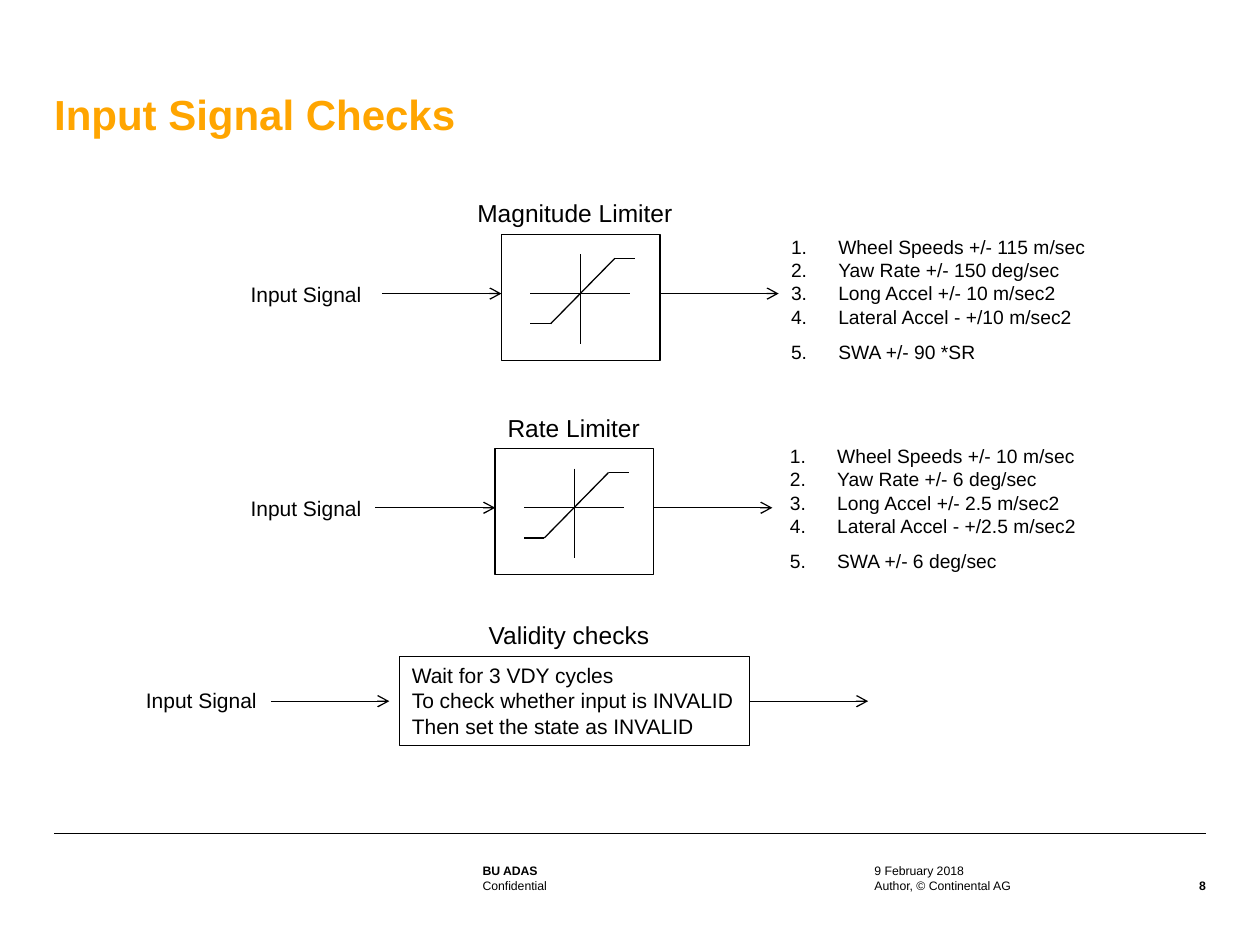
"""Build the slide on input signal checks."""
from dataclasses import dataclass

from lxml import etree
from pptx import Presentation
from pptx.dml.color import RGBColor
from pptx.enum.shapes import MSO_CONNECTOR, MSO_SHAPE
from pptx.enum.text import MSO_ANCHOR, PP_ALIGN
from pptx.oxml.ns import qn
from pptx.util import Emu, Inches, Pt

LINE = MSO_CONNECTOR.STRAIGHT
RECT = MSO_SHAPE.RECTANGLE
TOP, LOW = MSO_ANCHOR.TOP, MSO_ANCHOR.BOTTOM
LEFT, RIGHT = PP_ALIGN.LEFT, PP_ALIGN.RIGHT
WIDE, HIGH = Inches(10), Inches(7.5)
COLS, ROWS = 100, 75
EAST = 3


@dataclass(frozen=True)
class Theme:
    """Hold the colours, type sizes and line widths."""
    font: str = "Arial"
    ink: RGBColor = RGBColor(0, 0, 0)
    gold: RGBColor = RGBColor(255, 165, 0)
    title: int = 24
    head: int = 14
    body: int = 12
    item: int = 11
    last: int = 18
    foot: int = 7
    thin: float = 0.35
    rule: float = 0.75


@dataclass(frozen=True)
class Box:
    """Hold a place in grid columns and rows."""
    x: float
    y: float
    w: float
    h: float

    def spot(self, dx, dy):
        """Return the grid point at an offset from the corner."""
        return self.x + dx, self.y + dy


THEME = Theme()


def across(cols):
    """Turn grid columns into a length."""
    return Emu(round(WIDE * cols / COLS))


def down(rows):
    """Turn grid rows into a length."""
    return Emu(round(HIGH * rows / ROWS))


def frame(box):
    """Return the four lengths of a grid box."""
    return across(box.x), down(box.y), across(box.w), down(box.h)


def add_run(para, text, size, bold=False, ink=THEME.ink):
    """Add one styled run to a paragraph."""
    run = para.add_run()
    run.text = text
    run.font.name = THEME.font
    run.font.size = Pt(size)
    run.font.bold = bold
    run.font.color.rgb = ink


def fill_text(body, lines, size, **style):
    """Write one left-aligned paragraph for each line."""
    for i, line in enumerate(lines):
        para = body.add_paragraph() if i else body.paragraphs[0]
        para.alignment = LEFT
        add_run(para, line, size, **style)


def add_text(slide, box, lines, size, **style):
    """Add a label with the usual insets."""
    body = slide.shapes.add_textbox(*frame(box)).text_frame
    body.word_wrap = False
    fill_text(body, lines, size, **style)
    return body


def add_flush(slide, box, line, size, anchor=TOP, **style):
    """Add a wrapped line of text without insets."""
    body = add_text(slide, box, [line], size, **style)
    body.word_wrap = True
    body.vertical_anchor = anchor
    body.margin_left = body.margin_right = 0
    body.margin_top = body.margin_bottom = 0
    return body.paragraphs[0]


def add_line(slide, start, end, width=THEME.rule, arrow=False):
    """Draw a line between two grid points."""
    line = slide.shapes.add_connector(
        LINE, across(start[0]), down(start[1]), across(end[0]), down(end[1]))
    line.line.color.rgb = THEME.ink
    line.line.width = Pt(width)
    if arrow:
        tail = etree.SubElement(line.line._get_or_add_ln(), qn("a:tailEnd"))
        tail.set("type", "arrow")
    etree.SubElement(line._element.spPr, qn("a:effectLst"))
    return line


def add_block(slide, box):
    """Draw an empty outlined block."""
    block = slide.shapes.add_shape(RECT, *frame(box))
    block.shadow.inherit = False
    block.fill.background()
    block.line.color.rgb = THEME.ink
    block.line.width = Pt(THEME.rule)
    return block


def add_list(slide, box, items):
    """Add a numbered list with a taller last line."""
    body = add_text(slide, box, items, THEME.item)
    for para in body.paragraphs:
        props = para._p.get_or_add_pPr()
        props.set("marL", str(across(3.75)))
        props.set("indent", str(-across(3.75)))
        mark = etree.SubElement(props, qn("a:buAutoNum"))
        mark.set("type", "arabicPeriod")
    add_run(body.paragraphs[-1], " ", THEME.last)


def add_input(slide, x, y):
    """Add the input label at a grid point."""
    add_text(slide, Box(x, y, 10.9, 3), ["Input Signal"], THEME.body)


def add_limiter(slide, box, name, label, notes, items):
    """Draw a limiter block with its input, curve and limits."""
    mid = 0.47 * box.h
    add_block(slide, box)
    for start, end in ((-9.5, 0), (box.w, box.w + 9.4)):
        add_line(slide, box.spot(start, mid), box.spot(end, mid), arrow=True)
    add_line(slide, box.spot(box.w / 2, 1.6), box.spot(box.w / 2, 8.7))
    add_line(slide, box.spot(2.3, mid), box.spot(10.2, mid))
    curve = [(2.3, 7.1), (3.9, 7.1), (9, 1.9), (10.6, 1.9)]
    for start, end in zip(curve, curve[1:]):
        add_line(slide, box.spot(*start), box.spot(*end))
    add_text(slide, label, [name], THEME.head)
    add_input(slide, 18.9, box.y + 3.25)
    add_list(slide, notes, items)


def add_check(slide, box):
    """Draw the validity block with its arrows."""
    mid = box.h / 2
    block = add_block(slide, box)
    block.text_frame.word_wrap = False
    block.text_frame.vertical_anchor = TOP
    fill_text(block.text_frame, [
        "Wait for 3 VDY cycles",
        "To check whether input is INVALID",
        "Then set the state as INVALID"], THEME.body)
    add_line(slide, box.spot(-10.2, mid), box.spot(-0.8, mid), arrow=True)
    leave = add_line(slide, box.spot(box.w, mid),
                     box.spot(box.w + 9.4, mid), arrow=True)
    leave.begin_connect(block, EAST)
    add_text(slide, Box(37.8, 48.7, 14.8, 3.4), ["Validity checks"], THEME.head)
    add_input(slide, 10.6, 54.1)


def add_foot(slide, box):
    """Draw the footer rule and its small print."""
    add_line(slide, box.spot(0, 0), box.spot(box.w, 0), THEME.thin)
    upper, lower = box.y + 2.1, box.y + 3.6
    left, right = box.x + 34, box.x + 65.1
    add_flush(slide, Box(left, upper, 29.8, 1.5), "BU ADAS", THEME.foot,
              LOW, bold=True)
    add_flush(slide, Box(left, lower, 29.8, 1.4), "Confidential", THEME.foot)
    add_flush(slide, Box(right, upper, 21.9, 1.5), "9 February 2018",
              THEME.foot, LOW)
    add_flush(slide, Box(right, lower, 21.9, 1.6), "Author, © Continental AG",
              THEME.foot)
    page = add_flush(slide, Box(box.x + 87.4, lower, 4, 1.6), "8", THEME.foot,
                     bold=True)
    page.alignment = RIGHT


def main():
    """Build and save the slide."""
    deck = Presentation()
    deck.slide_width, deck.slide_height = WIDE, HIGH
    slide = deck.slides.add_slide(deck.slide_layouts[6])
    title = add_flush(slide, Box(4.3, 3.2, 91.4, 7.9), "Input Signal Checks",
                      THEME.title, LOW, bold=True, ink=THEME.gold)
    title.line_spacing = 0.95
    add_limiter(slide, Box(39.8, 18.6, 12.6, 10), "Magnitude Limiter",
                Box(36.9, 15.2, 17.6, 3.4), Box(61.8, 18.2, 25.6, 11.4), [
                    "Wheel Speeds +/- 115 m/sec", "Yaw Rate +/- 150 deg/sec",
                    "Long Accel +/- 10 m/sec2", "Lateral Accel - +/10 m/sec2",
                    "SWA +/- 90 *SR"])
    add_limiter(slide, Box(39.3, 35.6, 12.6, 10), "Rate Limiter",
                Box(39.3, 32.3, 12.6, 3.4), Box(61.7, 34.8, 24.8, 11.4), [
                    "Wheel Speeds +/- 10 m/sec", "Yaw Rate +/- 6 deg/sec",
                    "Long Accel +/- 2.5 m/sec2", "Lateral Accel - +/2.5 m/sec2",
                    "SWA +/- 6 deg/sec"])
    add_check(slide, Box(31.7, 52.1, 27.8, 7.1))
    add_foot(slide, Box(4.3, 66.1, 91.4, 5.2))
    deck.save("out.pptx")


if __name__ == "__main__":
    main()
